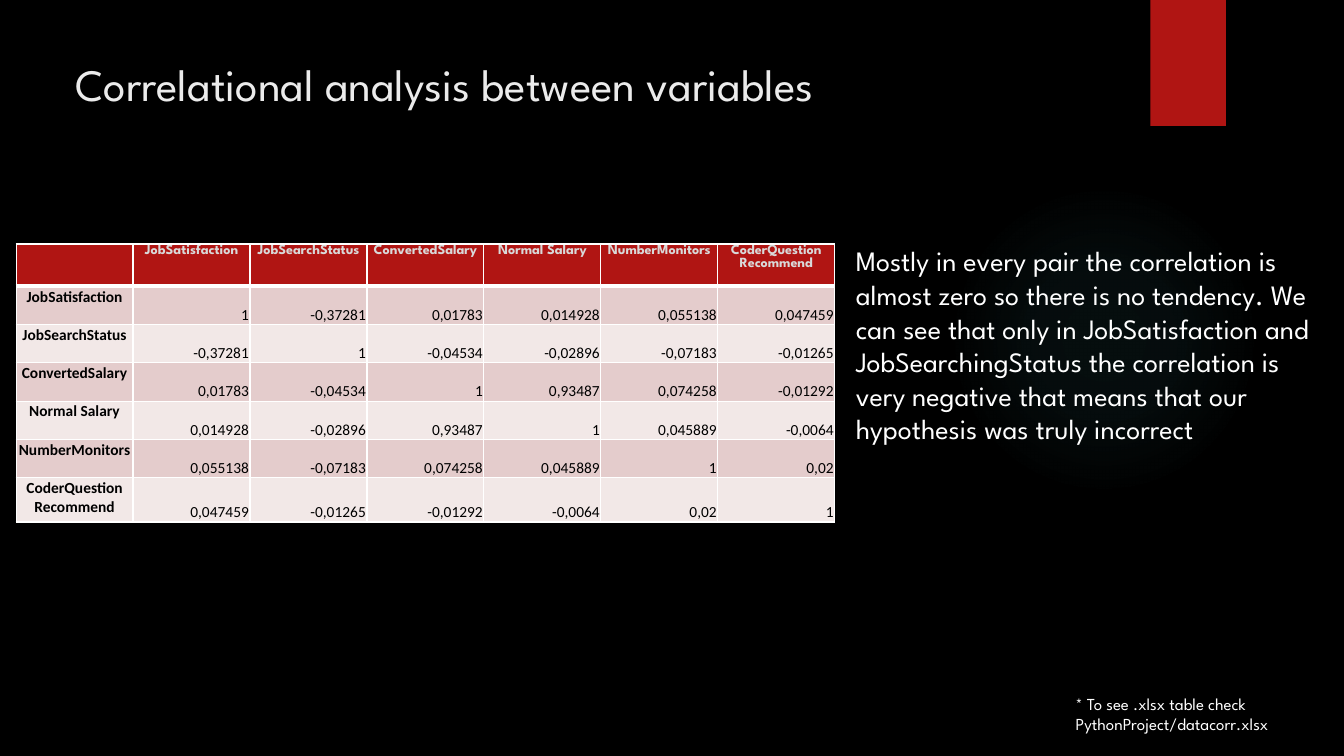
from lxml import etree
from pptx import Presentation
from pptx import util as u
from pptx.dml.color import RGBColor
from pptx.enum import shapes, text
from pptx.oxml import parse_xml
from pptx.oxml.ns import nsdecls, qn

VARIABLES = ["JobSatisfaction", "JobSearchStatus", "ConvertedSalary",
             "Normal Salary", "NumberMonitors", "CoderQuestion Recommend"]
LOWER_TRIANGLE = [
    ["1"],
    ["-0,37281", "1"],
    ["0,01783", "-0,04534", "1"],
    ["0,014928", "-0,02896", "0,93487", "1"],
    ["0,055138", "-0,07183", "0,074258", "0,045889", "1"],
    ["0,047459", "-0,01265", "-0,01292", "-0,0064", "0,02", "1"],
]
ROW_HEIGHTS = [0.42] + [0.38] * 5 + [0.44]
COLUMN_WIDTH = 1.16


def color(code):
    return RGBColor.from_string(code)


class DarkSlide:
    """Holds the dark red style and draws each kind of element on one slide."""
    font = "League Spartan"
    red, white, black = "B01513", "FFFFFF", "000000"
    bands = ["F2E8E7", "E4CCCC"]

    def __init__(self, deck):
        self.page = deck.slides.add_slide(deck.slide_layouts[5])
        background = self.page.background.fill
        background.solid()
        background.fore_color.rgb = color(self.black)

    def add_words(self, frame, words, size, code, font=None, bold=False,
                  align=text.PP_ALIGN.LEFT, before=0):
        para = frame.paragraphs[0]
        para.alignment = align
        para.space_before = u.Pt(before)
        span = para.add_run()
        span.text = words
        span.font.name = font or self.font
        span.font.size = u.Pt(size)
        span.font.bold = bold
        span.font.color.rgb = color(code)

    def shape(self, kind, left, top, width, height):
        box = self.page.shapes.add_shape(
            kind, u.Inches(left), u.Inches(top), u.Inches(width), u.Inches(height))
        box.shadow.inherit = False
        box.line.fill.background()
        box.fill.solid()
        box.fill.fore_color.rgb = color(self.red)
        return box

    def glow(self, left, top, size, code, stops):
        box = self.shape(shapes.MSO_SHAPE.OVAL, left, top, size, size)
        marks = "".join(
            f'<a:gs pos="{place * 1000}"><a:srgbClr val="{code}">'
            f'<a:alpha val="{alpha * 1000}"/></a:srgbClr></a:gs>'
            for place, alpha in stops)
        gradient = parse_xml(
            f'<a:gradFill {nsdecls("a")}><a:gsLst>{marks}</a:gsLst><a:path path="circle">'
            '<a:fillToRect l="50000" t="50000" r="50000" b="50000"/></a:path></a:gradFill>')
        properties = box.element.spPr
        properties.replace(properties.find(qn("a:solidFill")), gradient)

    def title(self, words, left, top, width, height):
        box = self.page.shapes.title
        box.left, box.top = u.Inches(left), u.Inches(top)
        box.width, box.height = u.Inches(width), u.Inches(height)
        box.text_frame.vertical_anchor = text.MSO_ANCHOR.TOP
        box.text_frame.auto_size = text.MSO_AUTO_SIZE.NONE
        self.add_words(box.text_frame, words, 32, "EBEBEB")

    def note(self, words, size, left, top, width, height):
        box = self.page.shapes.add_textbox(
            u.Inches(left), u.Inches(top), u.Inches(width), u.Inches(height))
        box.text_frame.word_wrap = True
        self.add_words(box.text_frame, words, size, self.white, before=10)

    def borders(self, cell, bottom):
        properties = cell._tc.get_or_add_tcPr()
        for index, side in enumerate("LRTB"):
            weight = bottom if side == "B" else 1
            line = etree.Element(qn(f"a:ln{side}"), w=str(u.Pt(weight)))
            fill = etree.SubElement(line, qn("a:solidFill"))
            etree.SubElement(fill, qn("a:srgbClr"), val=self.white)
            properties.insert(index, line)

    def cell(self, cell, words, row, column):
        cell.margin_left = cell.margin_right = cell.margin_top = u.Inches(0.01)
        cell.margin_bottom = 0
        cell.fill.solid()
        cell.fill.fore_color.rgb = color(self.bands[row % 2] if row else self.red)
        self.borders(cell, 1 if row else 3)
        center = text.PP_ALIGN.CENTER
        if row and column:
            cell.vertical_anchor = text.MSO_ANCHOR.BOTTOM
            self.add_words(cell.text_frame, words, 11, self.black, "Calibri",
                           align=text.PP_ALIGN.RIGHT)
        elif row:
            self.add_words(cell.text_frame, words, 11, self.black, "Calibri", True, center)
        elif column:
            self.add_words(cell.text_frame, words, 10, "D9D9D9", bold=True, align=center)

    def table(self, rows, left, top):
        count = len(rows[0])
        grid = self.page.shapes.add_table(
            len(rows), count, u.Inches(left), u.Inches(top),
            u.Inches(COLUMN_WIDTH * count), u.Inches(sum(ROW_HEIGHTS))).table
        for column in grid.columns:
            column.width = u.Inches(COLUMN_WIDTH)
        for row, values in enumerate(rows):
            grid.rows[row].height = u.Inches(ROW_HEIGHTS[row])
            for column, words in enumerate(values):
                self.cell(grid.cell(row, column), words, row, column)


def correlation_rows():
    rows = [[""] + VARIABLES]
    for row, name in enumerate(VARIABLES):
        rows.append([name] + [LOWER_TRIANGLE[max(row, column)][min(row, column)]
                              for column in range(len(VARIABLES))])
    return rows


def main():
    deck = Presentation()
    deck.slide_width, deck.slide_height = u.Inches(13.33), u.Inches(7.5)
    slide = DarkSlide(deck)
    slide.glow(9.41, 1.83, 3.08, "50B9C1", [(0, 7), (36, 6), (69, 0)])
    slide.shape(shapes.MSO_SHAPE.RECTANGLE, 11.41, 0, 0.75, 1.25)
    slide.title("Correlational analysis between variables", 0.65, 0.51, 10.71, 0.89)
    slide.table(correlation_rows(), 0.16, 2.42)
    slide.note("Mostly in every pair the correlation is almost zero so there is no "
               "tendency. We can see that only in JobSatisfaction and "
               "JobSearchingStatus the correlation is very negative that means that "
               "our hypothesis was truly incorrect", 20, 8.39, 2.37, 4.9, 2.76)
    slide.note("* To see .xlsx table check PythonProject/datacorr.xlsx",
               12, 10.57, 6.83, 2.65, 0.54)
    deck.save("out.pptx")


if __name__ == "__main__":
    main()
